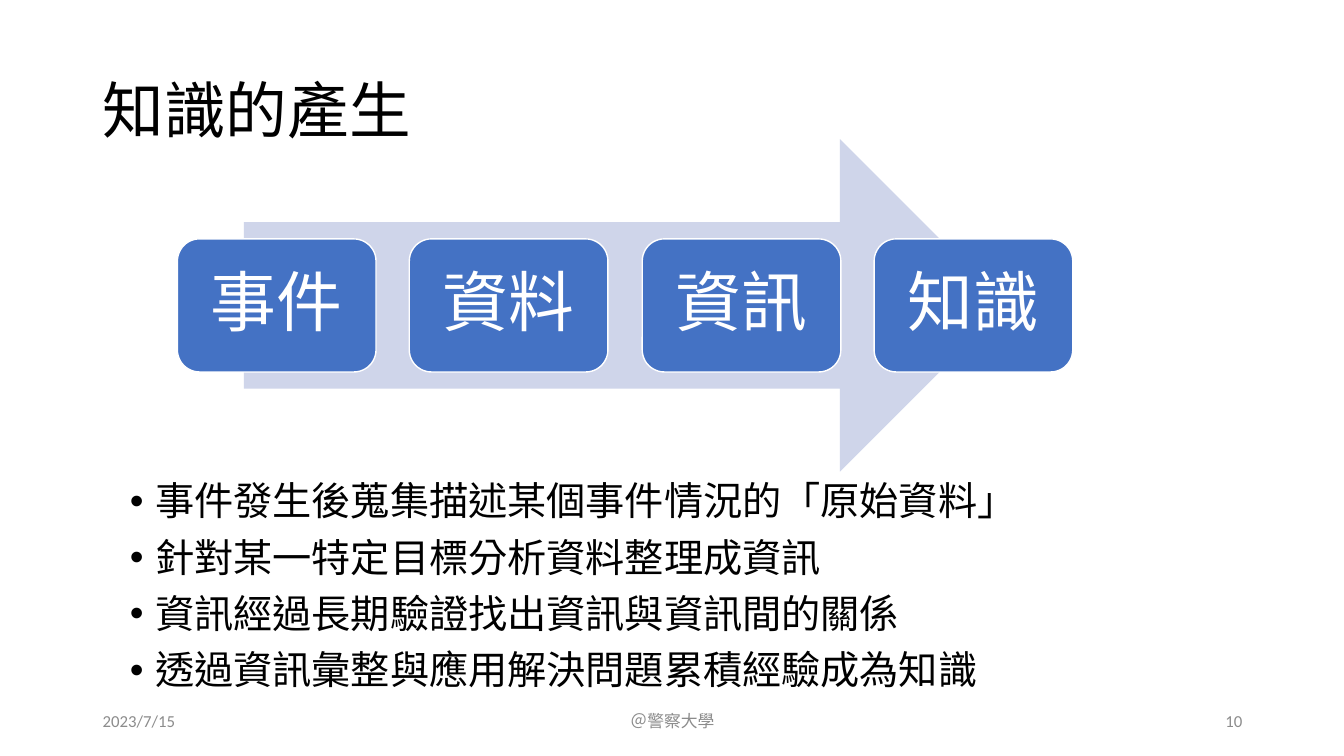
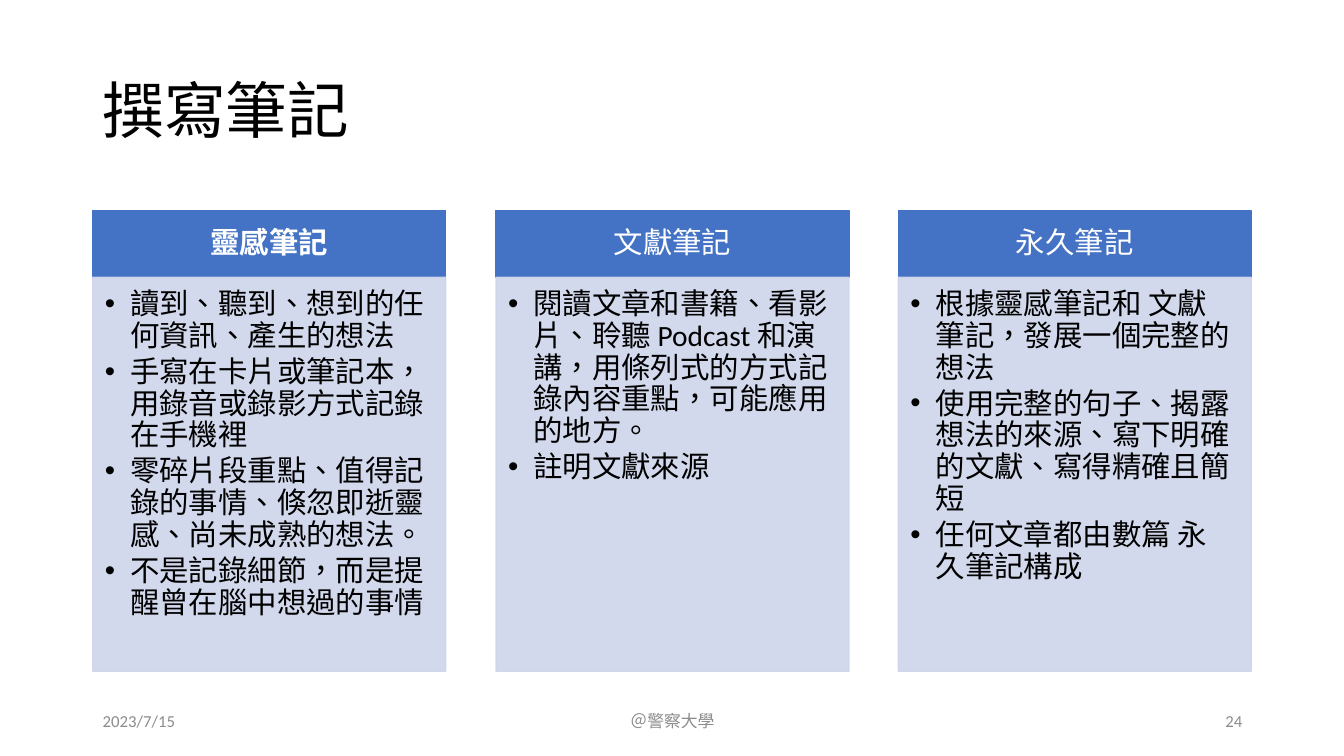
from dataclasses import dataclass

from lxml import etree
from pptx import Presentation
from pptx.dml.color import RGBColor
from pptx.enum.lang import MSO_LANGUAGE_ID
from pptx.enum.shapes import MSO_SHAPE
from pptx.enum.text import MSO_ANCHOR, PP_ALIGN
from pptx.oxml.ns import qn
from pptx.util import Emu, Pt

LEFT, CENTER, RIGHT = PP_ALIGN.LEFT, PP_ALIGN.CENTER, PP_ALIGN.RIGHT
TOP, MIDDLE = MSO_ANCHOR.TOP, MSO_ANCHOR.MIDDLE
ARROW = MSO_SHAPE.RIGHT_ARROW
ROUNDED = MSO_SHAPE.ROUNDED_RECTANGLE
RECTANGLE = MSO_SHAPE.RECTANGLE
CHINESE = MSO_LANGUAGE_ID.TRADITIONAL_CHINESE

EMU_PER_PX = 9144
FONT = "Calibri"
COLORS = {
    "text": "000000",
    "white": "FFFFFF",
    "accent": "4472C4",
    "tint": "CFD5EA",
    "footer": "8C8C8C",
}
BULLET_INDENT = 25


@dataclass(frozen=True)
class Area:
    left: int
    top: int
    width: int
    height: int


@dataclass(frozen=True)
class TextStyle:
    size: int
    color: str = "text"
    align: PP_ALIGN = LEFT
    anchor: MSO_ANCHOR = MIDDLE
    insets: tuple[int, int, int, int] = (10, 5, 10, 5)
    line_spacing: float = 0.9
    before: int = 0
    after: int = 0
    bullet: bool = False
    bold: bool = False


@dataclass(frozen=True)
class NoteCard:
    heading: str
    points: list[str]
    bold: bool = False


TITLE = TextStyle(44)
STEP = TextStyle(47, "white", CENTER, insets=(20, 20, 20, 20))
SUMMARY = TextStyle(28, before=10, bullet=True)
CARD_POINTS = TextStyle(21, anchor=TOP, insets=(12, 12, 16, 18), after=3, bullet=True)

STEPS = ["事件", "資料", "資訊", "知識"]
SUMMARY_POINTS = [
    "事件發生後蒐集描述某個事件情況的「原始資料」",
    "針對某一特定目標分析資料整理成資訊",
    "資訊經過長期驗證找出資訊與資訊間的關係",
    "透過資訊彙整與應用解決問題累積經驗成為知識",
]
CARDS = [
    NoteCard("靈感筆記", [
        "讀到、聽到、想到的任何資訊、產生的想法",
        "手寫在卡片或筆記本，用錄音或錄影方式記錄在手機裡",
        "零碎片段重點、值得記錄的事情、倏忽即逝靈感、尚未成熟的想法。",
        "不是記錄細節，而是提醒曾在腦中想過的事情",
    ], bold=True),
    NoteCard("文獻筆記", [
        "閱讀文章和書籍、看影片、聆聽 Podcast 和演講，用條列式的方式記錄內容重點，可能應用的地方。",
        "註明文獻來源",
    ]),
    NoteCard("永久筆記", [
        "根據靈感筆記和 文獻筆記，發展一個完整的想法",
        "使用完整的句子、揭露想法的來源、寫下明確的文獻、寫得精確且簡短",
        "任何文章都由數篇 永久筆記構成",
    ]),
]


def px(length: int) -> Emu:
    return Emu(length * EMU_PER_PX)


def color(name: str) -> RGBColor:
    return RGBColor.from_string(COLORS[name])


def spread(first: int, last: int, count: int) -> list[int]:
    return [round(first + (last - first) * index / (count - 1)) for index in range(count)]


def place(area: Area) -> tuple[Emu, Emu, Emu, Emu]:
    return px(area.left), px(area.top), px(area.width), px(area.height)


def add_bullet(para) -> None:
    properties = para._p.get_or_add_pPr()
    properties.set("marL", str(px(BULLET_INDENT)))
    properties.set("indent", str(px(-BULLET_INDENT)))
    etree.SubElement(properties, qn("a:buFont")).set("typeface", "Arial")
    etree.SubElement(properties, qn("a:buChar")).set("char", "•")


def write(shape, lines: list[str], style: TextStyle) -> None:
    frame = shape.text_frame
    frame.word_wrap = True
    frame.vertical_anchor = style.anchor
    left, top, right, bottom = (px(inset) for inset in style.insets)
    frame.margin_left, frame.margin_top = left, top
    frame.margin_right, frame.margin_bottom = right, bottom
    for index, line in enumerate(lines):
        para = frame.add_paragraph() if index else frame.paragraphs[0]
        para.alignment = style.align
        para.line_spacing = style.line_spacing
        para.space_before = Pt(style.before)
        para.space_after = Pt(style.after)
        if style.bullet:
            add_bullet(para)
        span = para.add_run()
        span.text = line
        span.font.name = FONT
        span.font.size = Pt(style.size)
        span.font.bold = style.bold
        span.font.color.rgb = color(style.color)
        span.font.language_id = CHINESE


def add_text(page, area: Area, lines: list[str], style: TextStyle) -> None:
    write(page.shapes.add_textbox(*place(area)), lines, style)


def add_panel(page, preset: MSO_SHAPE, area: Area, fill: str,
              line: str | None = None, opacity: int = 100):
    panel = page.shapes.add_shape(preset, *place(area))
    panel.shadow.inherit = False
    panel.fill.solid()
    panel.fill.fore_color.rgb = color(fill)
    if line is None:
        panel.line.fill.background()
    else:
        panel.line.color.rgb = color(line)
        panel.line.width = Pt(1)
    if opacity < 100:
        for tint in panel._element.spPr.iter(qn("a:srgbClr")):
            etree.SubElement(tint, qn("a:alpha")).set("val", str(opacity * 1000))
    return panel


def add_page(deck, title: str, number: int):
    page = deck.slides.add_slide(deck.slide_layouts[6])
    add_text(page, Area(92, 40, 1150, 145), [title], TITLE)
    footers = [
        (92, 300, "2023/7/15", LEFT),
        (442, 450, "＠警察大學", CENTER),
        (942, 300, str(number), RIGHT),
    ]
    for left, width, text, align in footers:
        style = TextStyle(12, "footer", align, line_spacing=1.0)
        add_text(page, Area(left, 695, width, 40), [text], style)
    return page


def build_knowledge_page(deck) -> None:
    page = add_page(deck, "知識的產生", 10)
    add_panel(page, ARROW, Area(242, 138, 756, 330), "tint")
    for left, step in zip(spread(176, 867, len(STEPS)), STEPS):
        box = add_panel(page, ROUNDED, Area(left, 237, 197, 132), "accent", "white")
        write(box, [step], STEP)
    add_text(page, Area(119, 416, 1150, 334), SUMMARY_POINTS, SUMMARY)


def build_notes_page(deck) -> None:
    page = add_page(deck, "撰寫筆記", 24)
    for left, card in zip(spread(92, 891, len(CARDS)), CARDS):
        header = add_panel(page, RECTANGLE, Area(left, 209, 350, 66), "accent", "accent")
        heading = TextStyle(21, "white", CENTER, insets=(16, 9, 16, 9), bold=card.bold)
        write(header, [card.heading], heading)
        body = add_panel(page, RECTANGLE, Area(left, 275, 350, 391), "tint", "tint", 90)
        write(body, card.points, CARD_POINTS)


def main() -> None:
    deck = Presentation()
    deck.slide_width = px(1333)
    deck.slide_height = px(750)
    build_knowledge_page(deck)
    build_notes_page(deck)
    deck.save("out.pptx")


if __name__ == "__main__":
    main()
